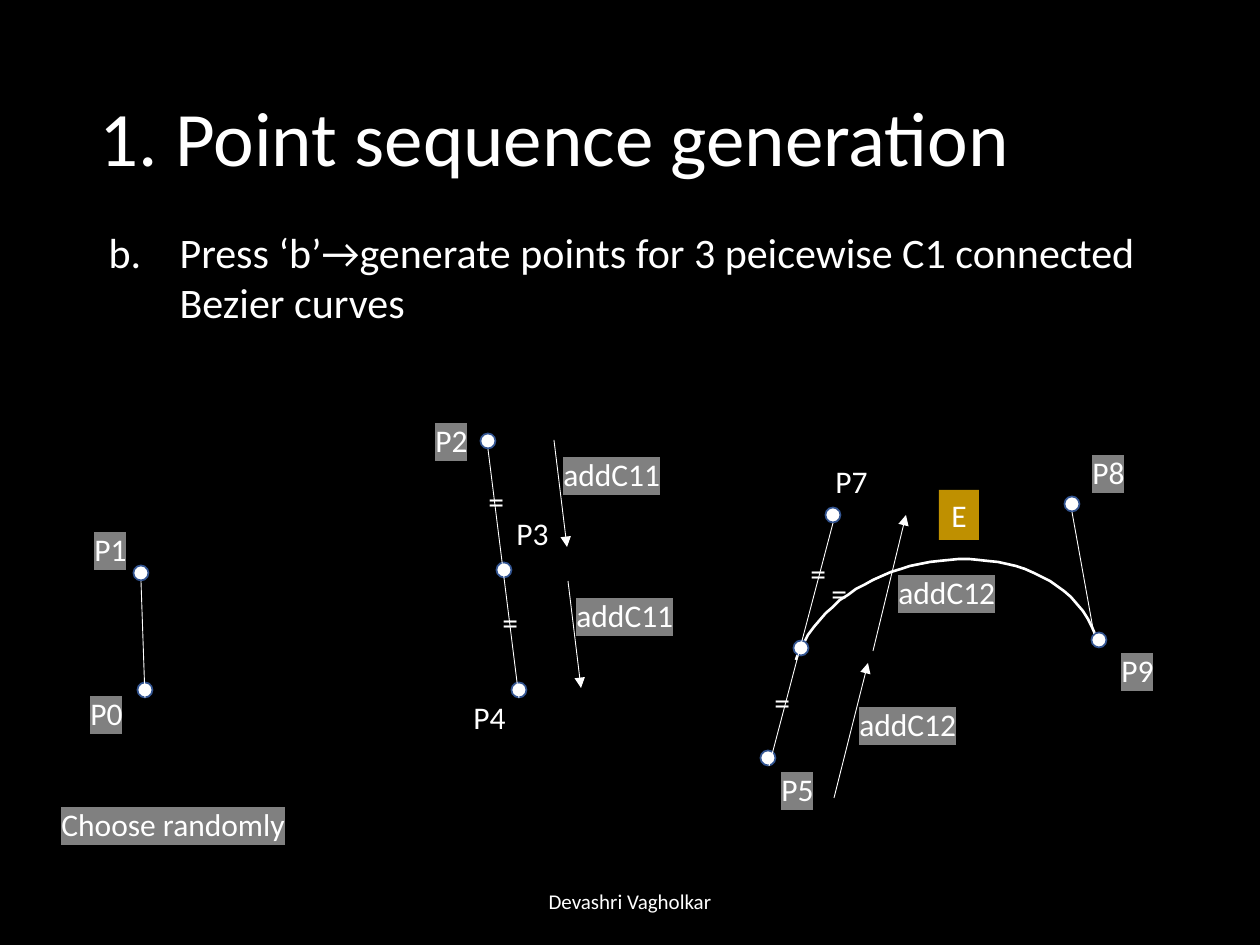
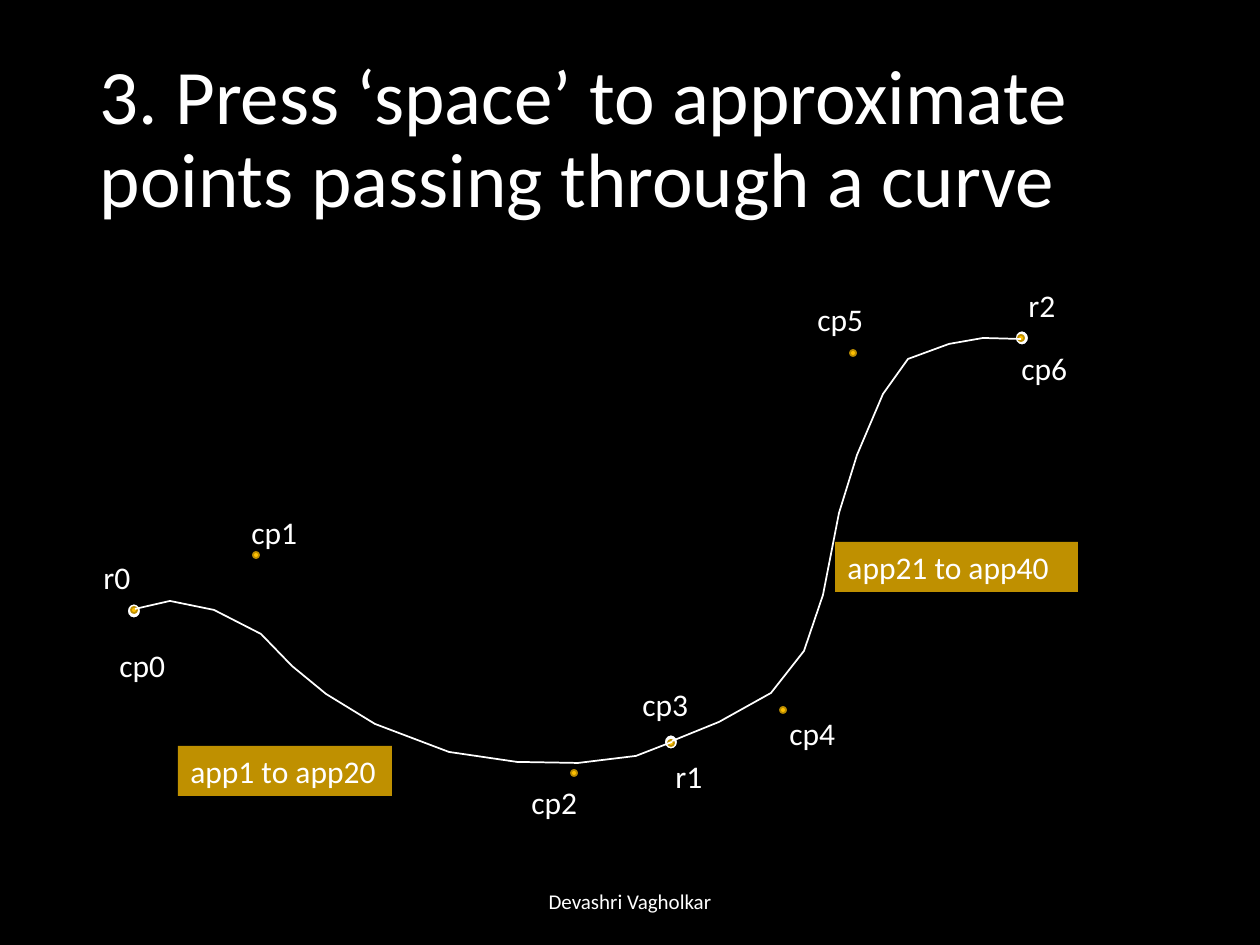
import pptx
import pptx.util
import pptx.dml.color
import pptx.enum.shapes
import pptx.enum.text
import pptx.oxml.ns
import lxml.etree

RGB = pptx.dml.color.RGBColor
ALIGN = pptx.enum.text.PP_ALIGN
ANCHOR = pptx.enum.text.MSO_ANCHOR
KIND = pptx.enum.shapes.MSO_SHAPE
BLACK = RGB(0x00, 0x00, 0x00)
WHITE = RGB(0xFF, 0xFF, 0xFF)
GRAY = RGB(0x80, 0x80, 0x80)
BLUE = RGB(0x32, 0x54, 0x91)
GOLD = RGB(0xBF, 0x90, 0x00)
AMBER = RGB(0xFF, 0xC0, 0x00)
BROWN = RGB(0xBD, 0x8E, 0x00)
FONT = "Calibri"
SCALE = 914400 / 126
ROW = 50


def px(num):
    """Turn pixels into EMU."""
    return pptx.util.Emu(round(num * SCALE))


def child(node, tag, **attrs):
    """Append a drawing element to a node."""
    return lxml.etree.SubElement(node, pptx.oxml.ns.qn(tag), attrs)


def place(shape, left, top, width, height):
    """Move and size a shape."""
    shape.left, shape.top = px(left), px(top)
    shape.width, shape.height = px(width), px(height)


def write(shape, text, size=18, align=ALIGN.LEFT, anchor=ANCHOR.TOP, mark=None):
    """Write one run into a shape and return its paragraph."""
    frame = shape.text_frame
    frame.word_wrap = True
    frame.auto_size = pptx.enum.text.MSO_AUTO_SIZE.NONE
    frame.vertical_anchor = anchor
    para = frame.paragraphs[0]
    para.alignment = align
    run = para.add_run()
    run.text = text
    run.font.size = pptx.util.Pt(size)
    run.font.color.rgb = WHITE
    if mark is not None:
        light = child(run.font._element, "a:highlight")
        child(light, "a:srgbClr", val=str(mark))
    run.font.name = FONT
    return para


def label(slide, text, left, top, width, mark=None):
    """Add a one-line text box."""
    box = slide.shapes.add_textbox(px(left), px(top), px(width), px(ROW))
    write(box, text, mark=mark)


def badge(slide, text, left, top, width):
    """Add a gold box with text."""
    box = slide.shapes.add_shape(KIND.RECTANGLE, px(left), px(top), px(width), px(ROW))
    box.shadow.inherit = False
    box.fill.solid()
    box.fill.fore_color.rgb = GOLD
    box.line.fill.background()
    write(box, text)


def dot(slide, x, y, width, height, fill, edge):
    """Add an ellipse centred on a point."""
    oval = slide.shapes.add_shape(
        KIND.OVAL, px(x - width / 2), px(y - height / 2), px(width), px(height))
    oval.shadow.inherit = False
    oval.fill.solid()
    oval.fill.fore_color.rgb = fill
    oval.line.color.rgb = edge
    oval.line.width = pptx.util.Pt(1)


def line(slide, start, end, head=False):
    """Add a thin white line, with an arrowhead if asked."""
    wire = slide.shapes.add_connector(
        pptx.enum.shapes.MSO_CONNECTOR.STRAIGHT, *map(px, start + end))
    wire.line.color.rgb = WHITE
    wire.line.width = pptx.util.Pt(0.5)
    if head:
        child(wire.line._get_or_add_ln(), "a:tailEnd", type="triangle")
    child(wire._element.spPr, "a:effectLst")


def trace(slide, points, weight):
    """Draw an open white outline through points."""
    pen = slide.shapes.build_freeform(*points[0], scale=SCALE)
    pen.add_line_segments(points[1:], close=False)
    path = pen.convert_to_shape()
    path.shadow.inherit = False
    path.fill.background()
    path.line.color.rgb = WHITE
    path.line.width = pptx.util.Pt(weight)


def bezier(ends, steps=40):
    """Return points along a cubic Bezier curve."""
    points = []
    for step in range(steps + 1):
        t = step / steps
        parts = ((1 - t) ** 3, 3 * t * (1 - t) ** 2, 3 * t * t * (1 - t), t ** 3)
        points.append(tuple(
            sum(part * end[axis] for part, end in zip(parts, ends)) for axis in (0, 1)))
    return points


def start(deck, layout, title):
    """Add a slide with its title and footer."""
    slide = deck.slides.add_slide(deck.slide_layouts[layout])
    head = slide.shapes.title
    place(head, 87, 50, 1086, 183)
    write(head, title, 44, anchor=ANCHOR.MIDDLE).line_spacing = 0.9
    foot = slide.shapes.add_textbox(px(417), px(876), px(426), px(ROW))
    write(foot, "Devashri Vagholkar", 12, ALIGN.CENTER, ANCHOR.MIDDLE)
    return slide


def item(slide, text, first):
    """Fill the body with one lettered list item."""
    body = slide.placeholders[1]
    place(body, 96, 220, 1077, 115)
    para = write(body, text, 24)
    para.space_before = pptx.util.Pt(0)
    props = para._p.get_or_add_pPr()
    props.set("marL", str(px(71)))
    props.set("indent", str(-px(71)))
    child(props, "a:buFont", typeface="+mj-lt")
    child(props, "a:buAutoNum", type="alphaLcPeriod", startAt=str(first))


def points_slide(deck):
    """Build the slide on point generation."""
    slide = start(deck, 1, "1. Point sequence generation")
    trace(slide, bezier([(796, 660), (838, 541), (1062, 517), (1099, 645)]), 1.5)
    for x, y in [(145, 690), (141, 573), (488, 441), (504, 570), (519, 690),
                 (768, 758), (801, 648), (833, 515), (1072, 504), (1099, 640)]:
        dot(slide, x, y, 15, 15, WHITE, BLUE)
    for ends in [((145, 698), (141, 581)), ((519, 698), (488, 449)),
                 ((769, 766), (833, 523)), ((1094, 634), (1072, 512))]:
        line(slide, *ends)
    for text, left, top, mark in [
            ("P0", 78, 688, GRAY), ("P1", 82, 524, GRAY), ("P2", 423, 415, GRAY),
            ("P3", 504, 508, None), ("P4", 461, 692, None), ("P5", 769, 764, GRAY),
            ("P7", 823, 456, None), ("P8", 1080, 447, GRAY), ("P9", 1109, 645, GRAY)]:
        label(slide, text, left, top, 64, mark)
    for left, top in [(476, 476), (798, 548), (762, 677), (490, 597), (819, 568)]:
        label(slide, "=", left, top, 64)
    badge(slide, "E", 939, 490, 40)
    label(slide, "Choose randomly", 49, 799, 255, GRAY)
    for tail, tip, text, left, top in [
            ((554, 440), (567, 547), "addC11", 551, 449),
            ((568, 581), (581, 688), "addC11", 564, 590),
            ((834, 798), (868, 663), "addC12", 847, 699),
            ((873, 651), (906, 515), "addC12", 886, 567)]:
        line(slide, tail, tip, head=True)
        label(slide, text, left, top, 126, GRAY)
    item(slide, "Press ‘b’→generate points for 3 peicewise C1 connected Bezier curves", 2)


def curve_slide(deck):
    """Build the slide on curve approximation."""
    slide = start(deck, 5, "3. Press ‘space’ to approximate points passing through a curve")
    for x, y in [(134, 611), (671, 742), (1022, 338)]:
        dot(slide, x, y, 14, 15, WHITE, BLACK)
    for x, y in [(134, 610), (256, 555), (574, 773), (671, 743),
                 (783, 710), (853, 353), (1021, 338)]:
        dot(slide, x, y, 6, 6, AMBER, BROWN)
    for text, left, top in [
            ("r0", 91, 552), ("r1", 663, 751), ("r2", 1016, 280),
            ("cp0", 107, 640), ("cp1", 239, 507), ("cp2", 519, 777), ("cp3", 630, 679),
            ("cp4", 777, 708), ("cp5", 805, 294), ("cp6", 1009, 343)]:
        label(slide, text, left, top, 76)
    trace(slide, [(135, 609), (170, 601), (214, 610), (261, 634), (292, 666), (326, 694),
                  (375, 724), (449, 752), (517, 762), (578, 763), (636, 756), (672, 742)], 1)
    badge(slide, "app1 to app20", 178, 746, 214)
    trace(slide, [(672, 741), (719, 722), (771, 693), (804, 651), (823, 595), (839, 513),
                  (857, 455), (883, 394), (908, 359), (949, 344), (983, 338), (1021, 339)], 1)
    badge(slide, "app21 to app40", 835, 542, 243)


def main():
    """Build and save the deck."""
    deck = pptx.Presentation()
    deck.slide_width, deck.slide_height = px(1260), px(945)
    back = deck.slide_master.background.fill
    back.solid()
    back.fore_color.rgb = BLACK
    points_slide(deck)
    curve_slide(deck)
    deck.save("out.pptx")


if __name__ == "__main__":
    main()
